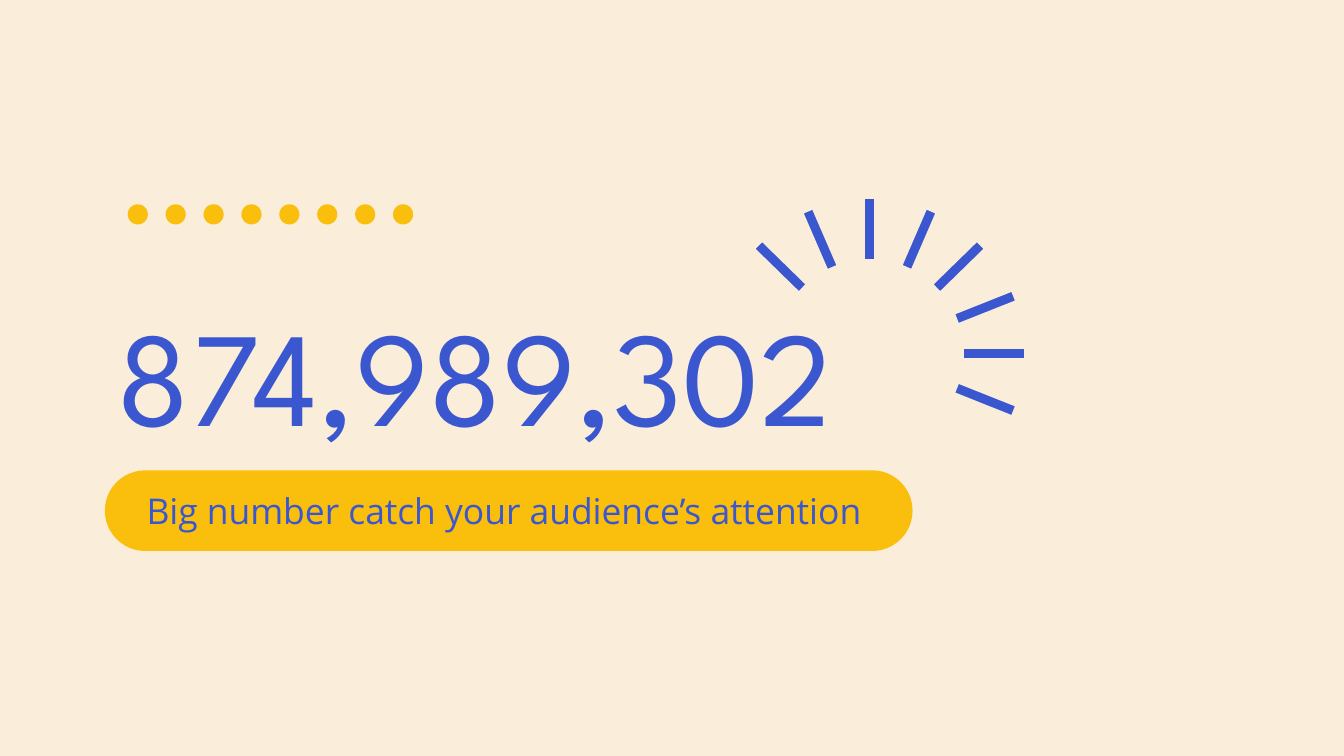
from dataclasses import dataclass
from math import cos, radians, sin

from pptx import Presentation, util as u
from pptx.dml import color
from pptx.enum import shapes, text

HUES = {"cream": "FAEDD9", "gold": "FABE0C", "blue": "3B57CF"}
COLS, ROWS = 100, 56.25
CELL = u.Inches(0.1)
KIND = shapes.MSO_SHAPE
SIDE = text.PP_ALIGN


@dataclass
class Box:
    col: float
    row: float
    wide: float
    high: float

    def spots(self) -> list[int]:
        return [round(n * CELL) for n in (self.col, self.row, self.wide, self.high)]


@dataclass
class Label:
    box: Box
    words: str
    face: str
    size: int
    side: SIDE


PILL = Box(7.8, 35, 60.1, 6)
DOTS = [Box(9.5 + 2.82 * n, 15.2, 1.5, 1.5) for n in range(8)]
HUB = (64.7, 26.3)
REACH = 9.25
RAYS = (-45.7, -23.4, 0, 23.4, 45.7, 68.3, 90, 111.7)
LABELS = (
    Label(Box(7.8, 20.1, 64, 15.2), "874,989,302", "League Spartan", 72, SIDE.LEFT),
    Label(PILL, "Big number catch your audience’s attention ", "Open Sans", 19, SIDE.CENTER),
)


def tint(name: str) -> color.RGBColor:
    return color.RGBColor.from_string(HUES[name])


def draw(page, kind: KIND, box: Box, hue: str):
    shape = page.shapes.add_shape(kind, *box.spots())
    shape.shadow.inherit = False
    shape.fill.solid()
    shape.fill.fore_color.rgb = tint(hue)
    shape.line.fill.background()
    return shape


def ray(page, turn: float) -> None:
    wide, high = 0.8, 4.6
    col = HUB[0] + REACH * sin(radians(turn)) - wide / 2
    row = HUB[1] - REACH * cos(radians(turn)) - high / 2
    bar = draw(page, KIND.RECTANGLE, Box(col, row, wide, high), "blue")
    bar.rotation = turn % 360
    bar.line.color.rgb = tint("cream")
    bar.line.width = u.Pt(0.75)


def write(page, label: Label) -> None:
    frame = page.shapes.add_textbox(*label.box.spots()).text_frame
    form = {"word_wrap": True, "vertical_anchor": text.MSO_ANCHOR.MIDDLE}
    form |= {f"margin_{edge}": CELL for edge in ("left", "top", "right", "bottom")}
    for key, val in form.items():
        setattr(frame, key, val)
    para = frame.paragraphs[0]
    para.alignment = label.side
    run = para.add_run()
    run.text = label.words
    for key, val in {"name": label.face, "size": u.Pt(label.size)}.items():
        setattr(run.font, key, val)
    run.font.color.rgb = tint("blue")


def main() -> None:
    deck = Presentation()
    deck.slide_width, deck.slide_height = round(COLS * CELL), round(ROWS * CELL)
    page = deck.slides.add_slide(deck.slide_layouts[6])
    page.background.fill.solid()
    page.background.fill.fore_color.rgb = tint("cream")
    draw(page, KIND.ROUNDED_RECTANGLE, PILL, "gold").adjustments[0] = 0.5
    for dot in DOTS:
        draw(page, KIND.OVAL, dot, "gold")
    for turn in RAYS:
        ray(page, turn)
    for label in LABELS:
        write(page, label)
    deck.save("out.pptx")


if __name__ == "__main__":
    main()
